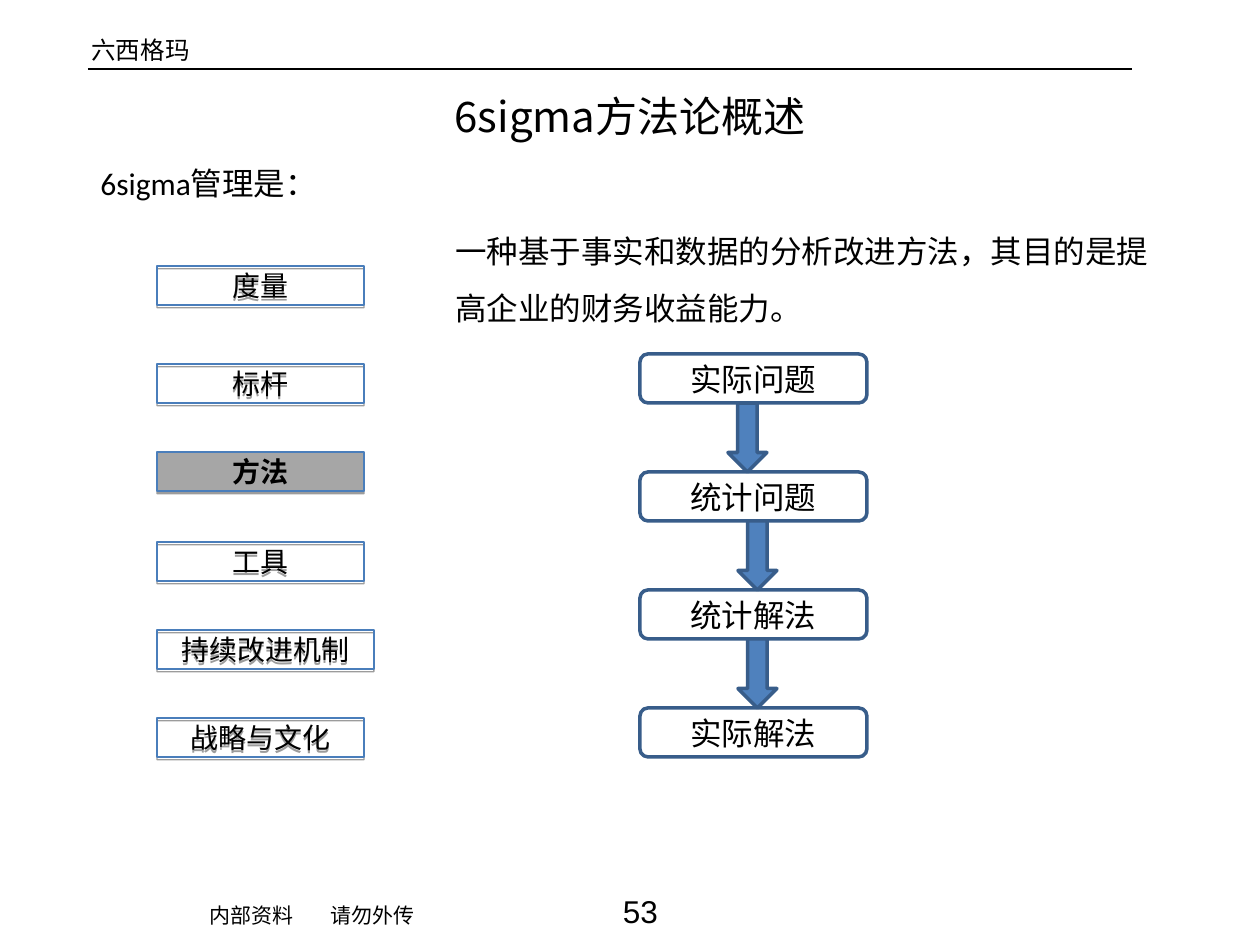
from lxml import etree
from pptx import Presentation
from pptx.dml.color import RGBColor
from pptx.enum.shapes import MSO_CONNECTOR, MSO_SHAPE
from pptx.enum.text import MSO_ANCHOR, PP_ALIGN
from pptx.oxml.ns import qn
from pptx.util import Emu, Pt

PX = 914400 // 126
LEFT, CENTER = PP_ALIGN.LEFT, PP_ALIGN.CENTER
MIDDLE = MSO_ANCHOR.MIDDLE
RECT, ROUNDED, DOWN_ARROW = (
    MSO_SHAPE.RECTANGLE, MSO_SHAPE.ROUNDED_RECTANGLE, MSO_SHAPE.DOWN_ARROW)
STRAIGHT = MSO_CONNECTOR.STRAIGHT
BLACK, WHITE, BLUE, NAVY = "000000", "FFFFFF", "4F81BD", "385D8A"

TOPICS = [("度量", 266, 207), ("标杆", 364, 207), ("方法", 452, 207),
          ("工具", 542, 207), ("持续改进机制", 630, 217), ("战略与文化", 718, 207)]
CURRENT_TOPIC = "方法"
STEPS = ["实际问题", "统计问题", "统计解法", "实际解法"]
ARROW_LEFTS = [728, 738, 738]


def px(*lengths):
    return [Emu(length * PX) for length in lengths]


def color(hex_code):
    return RGBColor.from_string(hex_code)


def write(frame, text, size, font="Calibri", align=LEFT, bold=None):
    paragraph = frame.paragraphs[0]
    paragraph.text = text
    paragraph.alignment = align
    paragraph.font.size = Pt(size)
    paragraph.font.name = font
    paragraph.font.bold = bold
    paragraph.font.color.rgb = color(BLACK)
    return paragraph


def add_text(slide, box, text, size, **style):
    frame = slide.shapes.add_textbox(*px(*box)).text_frame
    frame.word_wrap = True
    return write(frame, text, size, **style)


def add_box(slide, kind, box, fill, line, width):
    shape = slide.shapes.add_shape(kind, *px(*box))
    shape.shadow.inherit = False
    if fill:
        shape.fill.solid()
        shape.fill.fore_color.rgb = color(fill)
    else:
        shape.fill.background()
    shape.line.color.rgb = color(line)
    shape.line.width = Pt(width)
    shape.text_frame.vertical_anchor = MIDDLE
    return shape


def add_drop_shadow(shape):
    effects = shape._element.spPr.find(qn("a:effectLst"))
    shadow = etree.SubElement(effects, qn("a:outerShdw"), blurRad="0",
                              dist=str(Pt(1.6)), dir="5400000", rotWithShape="0")
    tint = etree.SubElement(shadow, qn("a:srgbClr"), val=BLACK)
    etree.SubElement(tint, qn("a:alpha"), val="38000")


def add_rule(slide, left, right, y):
    rule = slide.shapes.add_connector(STRAIGHT, *px(left, y, right, y))
    rule.line.color.rgb = color(BLACK)
    rule.line.width = Pt(0.74)
    etree.SubElement(rule._element.spPr, qn("a:effectLst"))


def add_tab_stop(paragraph, position):
    properties = paragraph._p.get_or_add_pPr()
    stops = etree.Element(qn("a:tabLst"))
    etree.SubElement(stops, qn("a:tab"), pos=str(position * PX), algn="l")
    properties.find(qn("a:defRPr")).addprevious(stops)


def add_topics(slide):
    for topic, top, width in TOPICS:
        current = topic == CURRENT_TOPIC
        box = add_box(slide, RECT, (157, top, width, 39),
                      "A6A6A6" if current else None, "4A7EBB", 0.74)
        add_drop_shadow(box)
        write(box.text_frame, topic, 16, align=CENTER, bold=current)


def add_flow(slide):
    first_top, pitch, height = 354, 118, 49
    for i, step in enumerate(STEPS):
        box = add_box(slide, ROUNDED, (640, first_top + i * pitch, 227, height),
                      WHITE, NAVY, 2)
        write(box.text_frame, step, 18, align=CENTER)
    for i, left in enumerate(ARROW_LEFTS):
        top = first_top + i * pitch + height
        add_box(slide, DOWN_ARROW, (left, top, 39, pitch - height), BLUE, NAVY, 2)


def main():
    prs = Presentation()
    prs.slide_width, prs.slide_height = px(1260, 945)
    slide = prs.slides.add_slide(prs.slide_layouts[6])

    # Header and footer
    add_rule(slide, 88, 1132, 69)
    add_text(slide, (79, 29, 134, 43), "六西格玛", 14)
    notice = add_text(slide, (197, 896, 452, 40), "内部资料\t请勿外传", 12, font="Arial")
    add_tab_stop(notice, 121)
    add_text(slide, (444, 886, 393, 50), "53", 18, font="Arial", align=CENTER)

    # Title and definition
    add_text(slide, (430, 84, 400, 63), "6sigma方法论概述", 24,
             font="Noto Sans CJK SC", align=CENTER)
    add_text(slide, (88, 158, 325, 50), "6sigma管理是：", 18)
    definition = add_text(slide, (443, 207, 748, 126),
                          "一种基于事实和数据的分析改进方法，其目的是提高企业的财务收益能力。", 18)
    definition.line_spacing = 1.5

    # Topic list and problem-solving flow
    add_topics(slide)
    add_flow(slide)

    prs.save("out.pptx")


main()
